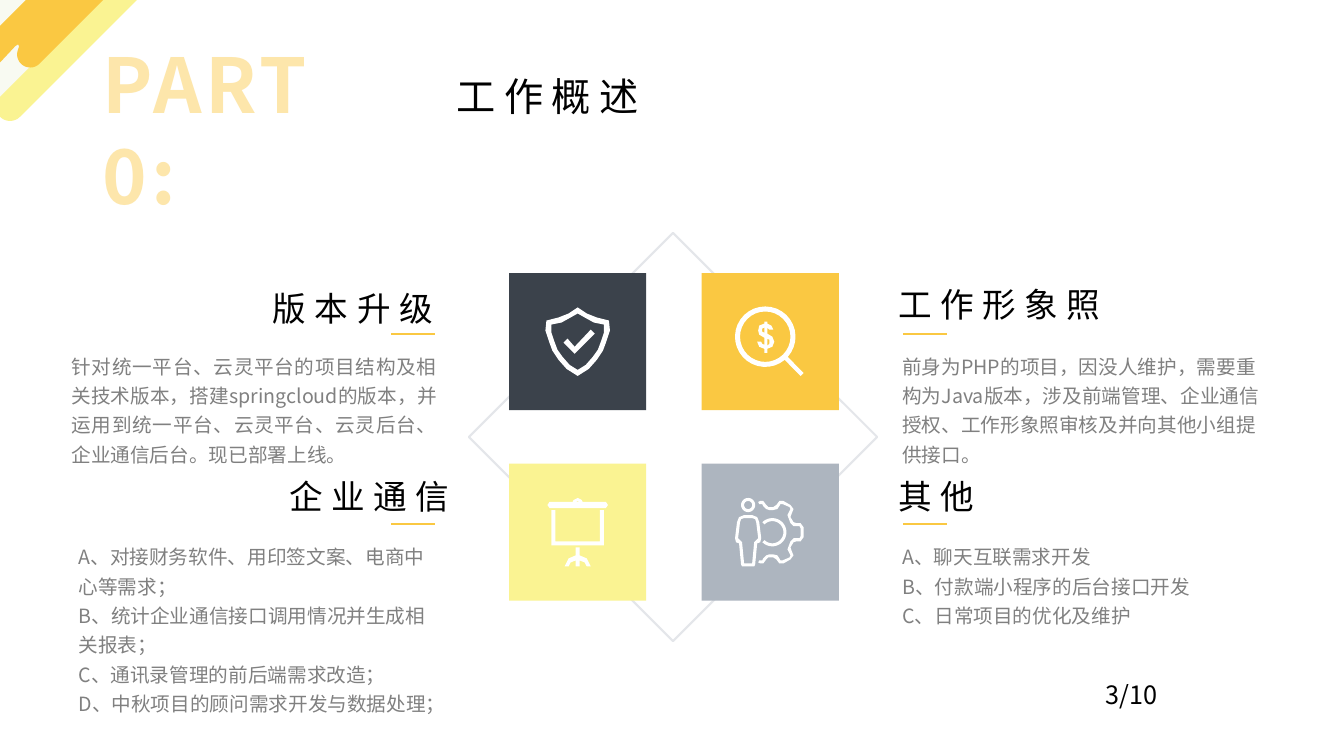
from dataclasses import dataclass
from math import cos, radians, sin

from lxml.etree import SubElement
from pptx import Presentation
from pptx.dml.color import RGBColor as Rgb
from pptx.enum.shapes import MSO_CONNECTOR as Conn, MSO_SHAPE as Kind
from pptx.enum.text import MSO_AUTO_SIZE as Auto, PP_ALIGN as Align
from pptx.oxml.ns import qn
from pptx.util import Inches, Pt

FONT = "Noto Sans CJK SC"
GOLD, LEMON, CREAM, WHITE = "FAC842", "FAF392", "F8FAF2", "FFFFFF"
DARK, STEEL, PALE, GREY, BLACK = "3B424B", "ADB5BF", "E4E6EA", "808080", "000000"
Points = list[tuple[float, float]]

deck = Presentation()
deck.slide_width, deck.slide_height = Inches(13.33), Inches(7.5)
slide = deck.slides.add_slide(deck.slide_layouts[6])
shapes = slide.shapes


@dataclass
class Topic:
    title: str
    title_box: tuple[float, float, float, float]
    body: list[str]
    body_box: tuple[float, float, float, float]
    rule: tuple[float, float]  # left end and height of the underline
    side: Align = Align.LEFT
    flow: Align = Align.LEFT


@dataclass
class Tile:
    col: int
    row: int
    fill: str
    icon: list[Points]


# Drawing helpers
def paint(part, color: str) -> None:
    part.fill.solid()
    part.fill.fore_color.rgb = Rgb.from_string(color)


def arc(x: float, y: float, r: float, start: float, end: float) -> Points:
    turns = [radians(start + (end - start) * i / 32) for i in range(33)]
    return [(x + r * cos(t), y + r * sin(t)) for t in turns]


def ring(x: float, y: float, r: float) -> Points:
    return arc(x, y, r, 0, 360)


def fold(half: Points, axis: float) -> Points:
    """Close a right half with its mirror image on the left."""
    return half + [(2 * axis - x, y) for x, y in half[::-1]]


def flip(half: Points, axis: float) -> Points:
    return [(x, 2 * axis - y) for x, y in half]


def draw(loops: list[Points], color: str) -> None:
    pen = None
    for loop in loops:
        dots = [(Inches(x), Inches(y)) for x, y in loop]
        if pen is None:
            pen = shapes.build_freeform(*dots[0], scale=1.0)
        else:
            pen.move_to(*dots[0])
        pen.add_line_segments(dots[1:], close=True)
    form = pen.convert_to_shape()
    form.shadow.inherit = False
    paint(form, color)
    form.line.fill.background()


def block(kind: Kind, box: tuple, fill: str = "", line: str = "") -> None:
    form = shapes.add_shape(kind, *map(Inches, box))
    form.shadow.inherit = False
    if fill:
        paint(form, fill)
    else:
        form.fill.background()
    if line:
        paint(form.line, line)
        form.line.width = Pt(1.5)
    else:
        form.line.fill.background()


def write(box: tuple, lines: list[str], size: float, color: str, gap: int = 0,
          wrap: bool = False, bold: bool = False, align: Align = Align.LEFT,
          space: float = 1.0) -> None:
    frame = shapes.add_textbox(*map(Inches, box)).text_frame
    frame.word_wrap, frame.auto_size = wrap, Auto.SHAPE_TO_FIT_TEXT
    look = {"size": Pt(size), "bold": bold, "name": FONT}
    for i, line in enumerate(lines):
        para = frame.add_paragraph() if i else frame.paragraphs[0]
        para.alignment, para.line_spacing = align, space
        run = para.add_run()
        run.text = line
        for key, value in look.items():
            setattr(run.font, key, value)
        run.font.color.rgb = Rgb.from_string(color)
        props = run._r.get_or_add_rPr()
        SubElement(props, qn("a:ea")).set("typeface", FONT)
        if gap:
            props.set("spc", str(gap * 100))


def rule(x: float, y: float) -> None:
    line = shapes.add_connector(Conn.STRAIGHT, *map(Inches, (x, y, x + 0.43, y)))
    paint(line.line, GOLD)
    line.line.width = Pt(1.5)
    SubElement(line._element.spPr, qn("a:effectLst"))


def strand(r: float, caps: Points, upper: Points, lower: Points) -> Points:
    """Two slanting bars with round ends, joined side by side."""
    right, top, left, low = caps
    return (arc(*right, r, 45, -135) + upper + arc(*top, r, 20, -135)
            + arc(*left, r, -135, -315) + lower + arc(*low, r, 200, 45))


# Diamond and corner bars
block(Kind.DIAMOND, (4.65, 2.31, 4.05, 4.05), line=PALE)
draw([strand(0.29, [(1.38, -0.69), (0.36, -0.6), (-1.43, 1.18), (-0.4, 1.09)],
             [(0.72, -0.45), (0.66, -0.42), (0.62, -0.46)],
             [(-0.76, 0.92), (-0.7, 0.89), (-0.66, 0.92)])], CREAM)
draw([arc(0.1, 1.06, 0.14, 225, 45) + arc(1.39, -0.23, 0.14, 45, -135)], LEMON)
draw([strand(0.13, [(1.08, -0.24), (0.64, -0.2), (-0.14, 0.58), (0.3, 0.54)],
             [(0.79, -0.13), (0.76, -0.12), (0.75, -0.16)],
             [(0.15, 0.46), (0.18, 0.44), (0.19, 0.46)])], GOLD)

# Icons
shield = [
    fold([(5.73, 3.05), (5.82, 3.11), (5.92, 3.15), (6.04, 3.18), (6.05, 3.28), (6.01, 3.4),
          (5.98, 3.48), (5.92, 3.57), (5.84, 3.66), (5.73, 3.73)], 5.73),
    fold([(5.73, 3.11), (5.8, 3.15), (5.89, 3.2), (5.99, 3.22), (5.99, 3.3), (5.96, 3.39),
          (5.93, 3.47), (5.88, 3.54), (5.81, 3.62), (5.73, 3.67)], 5.73),
    [(5.86, 3.27), (5.9, 3.31), (5.7, 3.51), (5.59, 3.4), (5.63, 3.36), (5.7, 3.44)]]
board = [
    fold([(5.73, 4.94), (5.77, 4.96), (5.78, 4.98), (6.01, 4.98), (6.03, 5.01),
          (6.01, 5.04), (5.73, 5.04)], 5.73),
    fold([(5.73, 4.97), (5.75, 4.98)], 5.73),
    fold([(5.73, 5.37), (5.95, 5.37), (5.95, 5.06), (5.99, 5.06), (5.99, 5.41),
          (5.73, 5.41)], 5.73),
    fold([(5.73, 5.43), (5.75, 5.43), (5.75, 5.51), (5.82, 5.54), (5.86, 5.62), (5.82, 5.62),
          (5.8, 5.58), (5.75, 5.56), (5.75, 5.62), (5.73, 5.62)], 5.73)]
lens = [
    arc(7.59, 3.34, 0.3, 50, 402) + [(7.97, 3.7), (7.94, 3.73)],
    ring(7.59, 3.34, 0.25),
    [(7.58, 3.19), (7.61, 3.19), (7.61, 3.21), (7.65, 3.23), (7.67, 3.27), (7.63, 3.27),
     (7.61, 3.25), (7.61, 3.31), (7.66, 3.34), (7.68, 3.39), (7.66, 3.44), (7.61, 3.46),
     (7.61, 3.5), (7.58, 3.5), (7.58, 3.46), (7.53, 3.44), (7.51, 3.39), (7.55, 3.39),
     (7.56, 3.41), (7.58, 3.42), (7.58, 3.35), (7.53, 3.32), (7.52, 3.28), (7.53, 3.23),
     (7.58, 3.21)],
    [(7.61, 3.36), (7.61, 3.43), (7.63, 3.41), (7.63, 3.37)],
    [(7.58, 3.25), (7.56, 3.26), (7.56, 3.29), (7.58, 3.3)]]
rim = [(7.52, 4.98), (7.54, 4.97), (7.57, 4.97), (7.6, 5.01), (7.62, 5.03), (7.67, 5.03),
       (7.7, 5.01), (7.73, 4.97), (7.77, 4.97), (7.84, 5.01), (7.87, 5.05), (7.85, 5.1),
       (7.84, 5.13), (7.87, 5.18), (7.9, 5.19), (7.94, 5.19), (7.97, 5.23), (7.97, 5.28)]
core = [(7.53, 5), (7.56, 5), (7.57, 5.02), (7.6, 5.05), (7.63, 5.06), (7.67, 5.06),
        (7.71, 5.05), (7.73, 5.02), (7.74, 5), (7.76, 5), (7.83, 5.03), (7.84, 5.05),
        (7.83, 5.07), (7.81, 5.11), (7.84, 5.19), (7.87, 5.22), (7.91, 5.22), (7.93, 5.22),
        (7.94, 5.24), (7.94, 5.28)]
worker = [
    fold([(7.42, 5.11), (7.46, 5.11), (7.51, 5.13), (7.53, 5.18), (7.55, 5.34), (7.54, 5.38),
          (7.51, 5.39), (7.49, 5.6), (7.48, 5.62), (7.42, 5.62)], 7.42),
    fold([(7.42, 5.14), (7.46, 5.14), (7.49, 5.15), (7.5, 5.18), (7.52, 5.34), (7.5, 5.36),
          (7.48, 5.38), (7.46, 5.59), (7.42, 5.59)], 7.42),
    ring(7.42, 5.01, 0.07), ring(7.42, 5.01, 0.04),
    arc(7.66, 5.28, 0.14, -135, 135) + arc(7.66, 5.28, 0.11, 135, -135),
    rim + flip(rim, 5.28)[::-1] + flip(core, 5.28) + core[::-1]]

# Tiles
for tile in [Tile(0, 0, DARK, shield), Tile(0, 1, LEMON, board),
             Tile(1, 0, GOLD, lens), Tile(1, 1, STEEL, worker)]:
    spot = (5.05 + 1.91 * tile.col, 2.71 + 1.89 * tile.row, 1.36, 1.36)
    block(Kind.RECTANGLE, spot, fill=tile.fill)
    draw(tile.icon, WHITE)

# Topics
topics = [
    Topic("工作形象照", (8.81, 2.77, 2.28, 0.5),
          ["前身为PHP的项目，因没人维护，需要重构为Java版本，涉及前端管理、企业通信授权、"
           "工作形象照审核及并向其他小组提供接口。"], (8.85, 3.41, 3.75, 1.28), (8.96, 3.31)),
    Topic("其他", (8.81, 4.67, 1.03, 0.5),
          ["A、聊天互联需求开发", "B、付款端小程序的后台接口开发", "C、日常项目的优化及维护"],
          (8.85, 5.3, 3.75, 0.98), (8.96, 5.2)),
    Topic("版本升级", (2.52, 2.81, 1.87, 0.5),
          ["针对统一平台、云灵平台的项目结构及相关技术版本，搭建springcloud的版本，并运用到"
           "统一平台、云灵平台、云灵后台、企业通信后台。现已部署上线。"],
          (0.61, 3.41, 3.82, 1.28), (3.88, 3.31), Align.RIGHT, Align.JUSTIFY),
    Topic("企业通信", (2.68, 4.67, 1.87, 0.5),
          ["A、对接财务软件、用印签文案、电商中心等需求；", "B、统计企业通信接口调用情况并生成相关报表；",
           "C、通讯录管理的前后端需求改造；", "D、中秋项目的顾问需求开发与数据处理；"],
          (0.68, 5.3, 3.75, 2.16), (3.88, 5.2), Align.RIGHT)]
for topic in topics:
    write(topic.title_box, [topic.title], 24, BLACK, gap=6, align=topic.side)
    write(topic.body_box, topic.body, 14, GREY, wrap=True, align=topic.flow, space=1.25)
    rule(*topic.rule)

# Heading and page number
write((0.92, 0.33, 3.2, 1.19), ["PART 0:"], 54, "FDE6AB", gap=3, bold=True)
write((4.43, 0.67, 2.09, 0.57), ["工作概述"], 28, BLACK, gap=6)
write((10.87, 6.69, 1, 0.4), ["3/10"], 18, BLACK, wrap=True)

deck.save("out.pptx")
